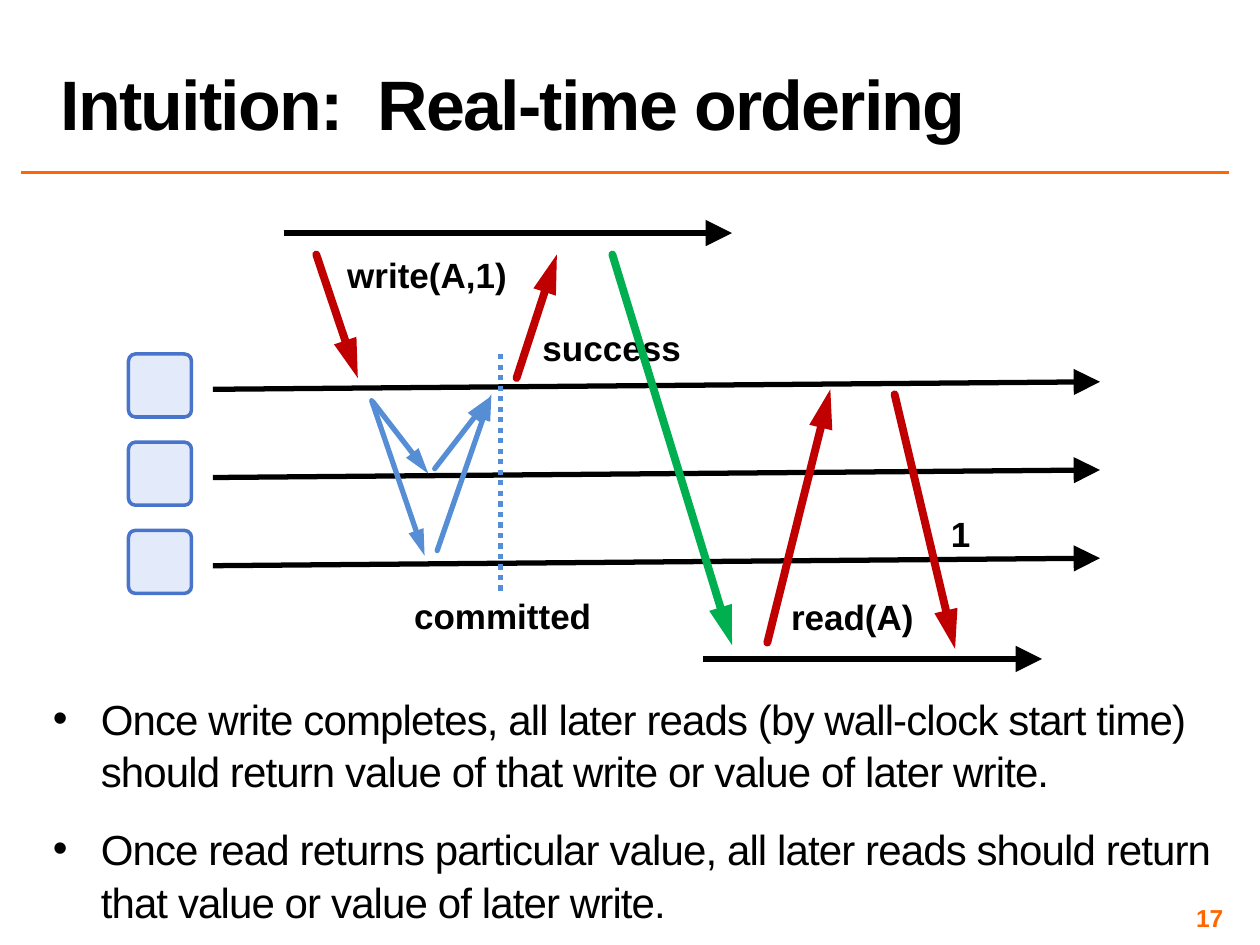
from lxml.etree import SubElement
from pptx import Presentation
from pptx.dml.color import RGBColor
from pptx.enum.dml import MSO_LINE
from pptx.enum.shapes import MSO_CONNECTOR, MSO_SHAPE
from pptx.enum.text import MSO_ANCHOR, MSO_AUTO_SIZE, PP_ALIGN
from pptx.oxml.ns import qn
from pptx.util import Inches, Pt

THEME = {
    "font": "Arial",
    "black": RGBColor(0x00, 0x00, 0x00),
    "orange": RGBColor(0xFF, 0x66, 0x00),
    "red": RGBColor(0xC0, 0x00, 0x00),
    "green": RGBColor(0x00, 0xB0, 0x50),
    "blue": RGBColor(0x55, 0x8E, 0xD5),
    "node_fill": RGBColor(0xE3, 0xEA, 0xF9),
    "node_line": RGBColor(0x49, 0x74, 0xCB),
    "title": Pt(40),
    "body": Pt(24),
    "label": Pt(20),
    "number": Pt(14),
}

deck = Presentation()
deck.slide_width, deck.slide_height = Inches(10), Inches(7.5)
slide = deck.slides.add_slide(deck.slide_layouts[5])


def write_text(para, text, size, color="black", bold=True, spacing=0):
    span = para.add_run()
    span.text = text
    formats = {"name": THEME["font"], "size": THEME[size], "bold": bold}
    for name, value in formats.items():
        setattr(span.font, name, value)
    span.font.color.rgb = THEME[color]
    if spacing:
        span._r.get_or_add_rPr().set("spc", str(spacing))


def draw_line(start, end, color, width, head=None):
    line = slide.shapes.add_connector(
        MSO_CONNECTOR.STRAIGHT, *(Inches(value) for value in (*start, *end))
    )
    line.line.color.rgb = THEME[color]
    line.line.width = Pt(width)
    SubElement(line._element.spPr, qn("a:effectLst"))
    if head:
        outline = line.line._get_or_add_ln()
        if head == "med":
            outline.set("cap", "rnd")
        SubElement(outline, qn("a:tailEnd"), type="triangle", w=head, len="lg")
    return line


title = slide.shapes.title
title_format = {"left": 0.38, "top": 0.02, "width": 9.62, "height": 1.17}
for name, value in title_format.items():
    setattr(title, name, Inches(value))
title.text_frame.vertical_anchor = MSO_ANCHOR.BOTTOM
title.text_frame.auto_size = MSO_AUTO_SIZE.NONE
para = title.text_frame.paragraphs[0]
para.alignment = PP_ALIGN.LEFT
para.line_spacing = 0.8
write_text(para, "Intuition:  Real-time ordering", "title", spacing=-100)
draw_line((0.17, 1.37), (9.75, 1.37), "orange", 2)

for row in range(3):
    offset = 0.7 * row
    draw_line((1.69, 3.09 + offset), (8.73, 3.03 + offset), "black", 3, "lg")
    node = slide.shapes.add_shape(
        MSO_SHAPE.ROUNDED_RECTANGLE,
        Inches(1.02), Inches(2.81 + offset), Inches(0.5), Inches(0.5),
    )
    node.adjustments[0] = 0.11
    node.shadow.inherit = False
    node.fill.solid()
    node.fill.fore_color.rgb = THEME["node_fill"]
    node.line.color.rgb = THEME["node_line"]
    node.line.width = Pt(2)

labels = [
    ("write(A,1)", 2.51, 1.96, 1.76),
    ("success", 4.10, 2.54, 1.51),
    ("committed", 3.12, 4.67, 1.74),
    ("1", 7.41, 4.02, 0.43),
    ("read(A)", 6.12, 4.68, 1.29),
]
for text, left, top, width in labels:
    box = slide.shapes.add_textbox(
        Inches(left), Inches(top), Inches(width), Inches(0.44)
    )
    box.text_frame.word_wrap = True
    box.text_frame.auto_size = MSO_AUTO_SIZE.SHAPE_TO_FIT_TEXT
    para = box.text_frame.paragraphs[0]
    para.alignment = PP_ALIGN.CENTER
    write_text(para, text, "label")

commit_line = draw_line((3.97, 2.81), (3.97, 4.71), "blue", 3)
commit_line.line.dash_style = MSO_LINE.ROUND_DOT

arrows = [
    ((2.25, 1.85), (5.81, 1.85), "black", 3, "lg"),
    ((5.58, 5.23), (8.27, 5.23), "black", 3, "lg"),
    ((2.51, 2.02), (2.84, 3.00), "red", 4.5, "med"),
    ((4.10, 3.00), (4.42, 2.02), "red", 4.5, "med"),
    ((4.86, 2.02), (5.81, 5.12), "green", 4.5, "med"),
    ((2.96, 3.19), (3.40, 3.76), "blue", 3, "med"),
    ((2.95, 3.18), (3.37, 4.41), "blue", 3, "med"),
    ((3.45, 3.72), (3.89, 3.15), "blue", 3, "med"),
    ((3.47, 4.37), (3.90, 3.13), "blue", 3, "med"),
    ((7.10, 3.13), (7.58, 5.15), "red", 4.5, "med"),
    ((6.09, 5.10), (6.59, 3.09), "red", 4.5, "med"),
]
for arrow in arrows:
    draw_line(*arrow)

body = slide.shapes.add_textbox(
    Inches(0.38), Inches(5.44), Inches(9.62), Inches(1.91)
)
number = slide.shapes.add_textbox(
    Inches(7.42), Inches(7.17), Inches(2.33), Inches(0.23)
)
for box in (body, number):
    box.text_frame.word_wrap = True
    for side in ("left", "top", "right", "bottom"):
        setattr(box.text_frame, f"margin_{side}", Inches(0.04))

points = [
    "Once write completes, all later reads (by wall-clock start time) "
    "should return value of that write or value of later write.",
    "Once read returns particular value, all later reads should return "
    "that value or value of later write.",
]
for index, text in enumerate(points):
    para = body.text_frame.add_paragraph() if index else body.text_frame.paragraphs[0]
    properties = para._p.get_or_add_pPr()
    properties.set("marL", str(Inches(0.38)))
    properties.set("indent", str(Inches(-0.38)))
    SubElement(properties, qn("a:buFont"), typeface=THEME["font"])
    SubElement(properties, qn("a:buChar"), char="•")
    para.line_spacing = 1.05
    para.space_before = Pt(8 if index else 0)
    para.space_after = Pt(6)
    write_text(para, text, "body", bold=False, spacing=-50)

number.text_frame.vertical_anchor = MSO_ANCHOR.MIDDLE
para = number.text_frame.paragraphs[0]
para.alignment = PP_ALIGN.RIGHT
write_text(para, "17", "number", "orange")

deck.save("out.pptx")
